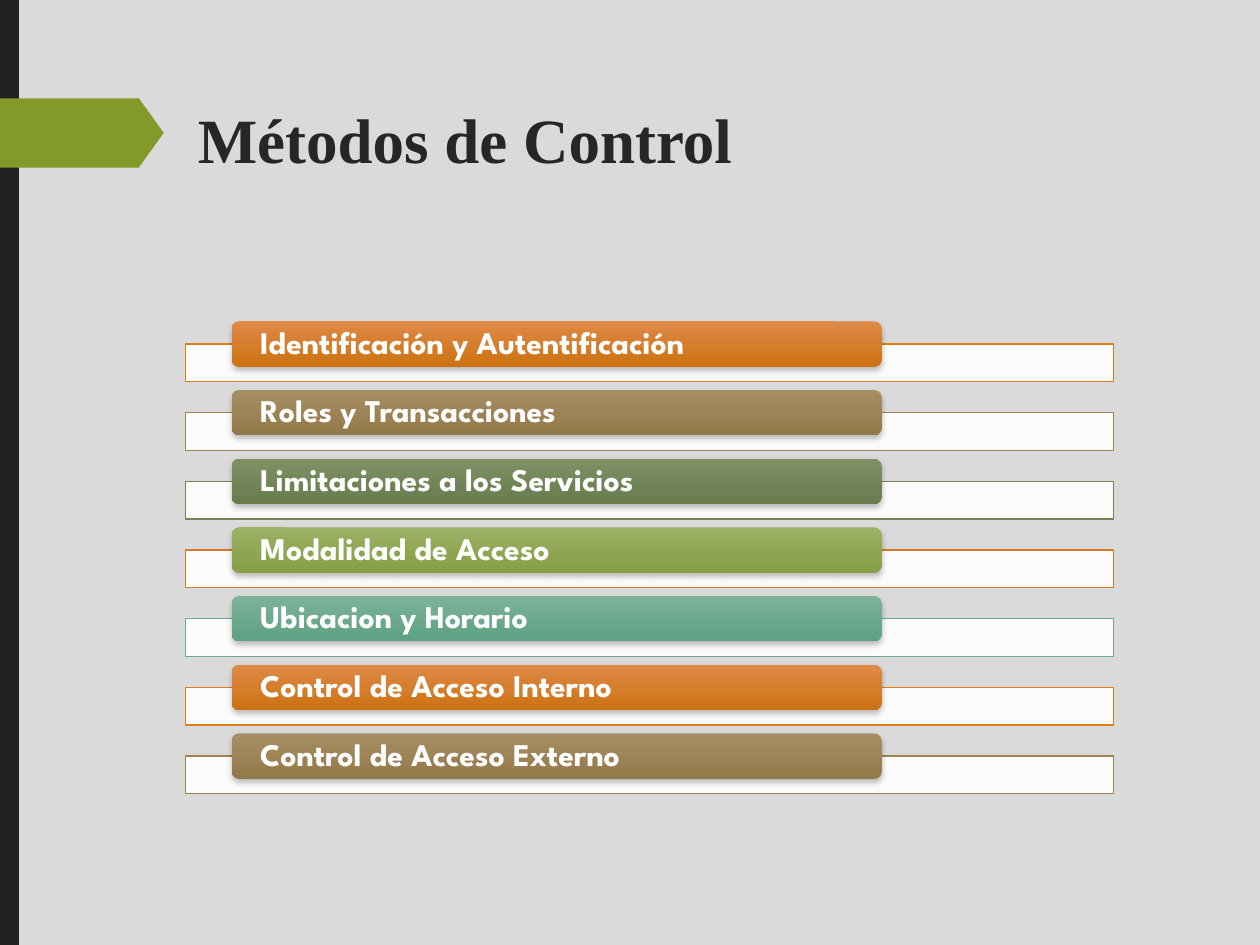
import pptx
import pptx.dml.color
import pptx.enum.shapes
import pptx.enum.text
import pptx.oxml
import pptx.oxml.ns
import pptx.util
from pptx.util import Inches

SHAPES = pptx.enum.shapes.MSO_SHAPE
ANCHOR = pptx.enum.text.MSO_ANCHOR
ALIGN = pptx.enum.text.PP_ALIGN

# Outline, gradient top and gradient bottom of each bar
ORANGE = ("DD7C16", "DF8A47", "CC7213")
BROWN = ("9F834F", "A78F65", "937949")
MOSS = ("708553", "7E9165", "677B4D")
LIME = ("D97828", "9CB163", "879D46")
TEAL = ("6AAA8F", "7CB29B", "5EA185")

METHODS = [
    ("Identificación y Autentificación", ORANGE),
    ("Roles y Transacciones", BROWN),
    ("Limitaciones a los Servicios", MOSS),
    ("Modalidad de Acceso", LIME),
    ("Ubicacion y Horario", TEAL),
    ("Control de Acceso Interno", ORANGE),
    ("Control de Acceso Externo", BROWN),
]


def color(hex_value):
    return pptx.dml.color.RGBColor.from_string(hex_value)


def set_format(target, values):
    for name, value in values.items():
        setattr(target, name, value)


def add_box(slide, kind, left, top, width, height, fill=None):
    """Add a preset shape without outline or shadow; lengths are in inches."""
    shape = slide.shapes.add_shape(
        kind, Inches(left), Inches(top), Inches(width), Inches(height))
    shape.shadow.inherit = False
    shape.line.fill.background()
    if fill:
        shape.fill.solid()
        shape.fill.fore_color.rgb = color(fill)
    return shape


def write_text(shape, text, frame_format, paragraph_format, font_format, font_color):
    shape.text_frame.text = text
    paragraph = shape.text_frame.paragraphs[0]
    set_format(shape.text_frame, frame_format)
    set_format(paragraph, paragraph_format)
    set_format(paragraph.runs[0].font, font_format)
    paragraph.runs[0].font.color.rgb = color(font_color)


def set_opacity(shape, percent):
    fill_color = shape.fill._xPr.find(".//" + pptx.oxml.ns.qn("a:srgbClr"))
    fill_color.append(pptx.oxml.parse_xml(
        f'<a:alpha {pptx.oxml.ns.nsdecls("a")} val="{percent * 1000}"/>'))


def add_soft_shadow(shape):
    effects = shape._element.spPr.find(pptx.oxml.ns.qn("a:effectLst"))
    effects.append(pptx.oxml.parse_xml(
        f'<a:outerShdw {pptx.oxml.ns.nsdecls("a")} blurRad="{pptx.util.Pt(3)}" '
        f'dist="{pptx.util.Pt(2)}" dir="5400000" rotWithShape="0">'
        '<a:srgbClr val="000000"><a:alpha val="25000"/></a:srgbClr></a:outerShdw>'))


def add_side_decoration(slide, left, top, width, height):
    # Dark strip and the green arrow that points at the title
    add_box(slide, SHAPES.RECTANGLE, left, top, width, height, "212121")
    arrow = add_box(slide, SHAPES.PENTAGON, left, top + 0.78, 1.3, 0.55, "83992A")
    arrow.adjustments[0] = 0.36


def add_title(slide, left, top, width, height):
    title = slide.shapes.title
    set_format(title, {"left": Inches(left), "top": Inches(top),
                       "width": Inches(width), "height": Inches(height)})
    write_text(
        title, "Métodos de Control",
        {"vertical_anchor": ANCHOR.TOP, "word_wrap": True,
         "margin_left": Inches(0.1), "margin_right": Inches(0.1),
         "margin_top": Inches(0.12)},
        {"alignment": ALIGN.LEFT},
        {"name": "Times New Roman", "size": pptx.util.Pt(36), "bold": True},
        "262626")


def add_method(slide, left, top, width, text, colors):
    outline, gradient_top, gradient_bottom = colors

    # White strip behind the bar
    strip = add_box(slide, SHAPES.RECTANGLE, left, top + 0.18, width, 0.3, "FFFFFF")
    set_opacity(strip, 90)
    strip.line.color.rgb = color(outline)
    strip.line.width = pptx.util.Pt(0.75)

    # Coloured bar with the label
    bar = add_box(slide, SHAPES.ROUNDED_RECTANGLE,
                  left + width * 0.05, top, width * 0.7, 0.36)
    bar.fill.gradient()
    bar.fill.gradient_angle = 270
    for stop, hex_value in zip(bar.fill.gradient_stops, (gradient_top, gradient_bottom)):
        stop.color.rgb = color(hex_value)
    add_soft_shadow(bar)
    write_text(
        bar, text,
        {"vertical_anchor": ANCHOR.MIDDLE, "word_wrap": True,
         "margin_left": Inches(0.21), "margin_right": Inches(0.21),
         "margin_top": 0, "margin_bottom": 0},
        {"alignment": ALIGN.LEFT, "line_spacing": 0.9},
        {"name": "League Spartan", "size": pptx.util.Pt(18), "bold": True},
        "FFFFFF")


def add_method_list(slide, left, top, width, height):
    row_height = 0.48
    pitch = (height - row_height) / (len(METHODS) - 1)
    for index, (text, colors) in enumerate(METHODS):
        add_method(slide, left, top + index * pitch, width, text, colors)


def main():
    presentation = pptx.Presentation()
    presentation.slide_width = Inches(10)
    presentation.slide_height = Inches(7.5)
    slide = presentation.slides.add_slide(presentation.slide_layouts[5])
    slide.background.fill.solid()
    slide.background.fill.fore_color.rgb = color("DADADA")

    add_title(slide, 1.47, 0.68, 7.97, 1.4)
    add_side_decoration(slide, 0, 0, 0.15, 7.5)
    add_method_list(slide, 1.47, 2.55, 7.37, 3.75)
    presentation.save("out.pptx")


if __name__ == "__main__":
    main()
